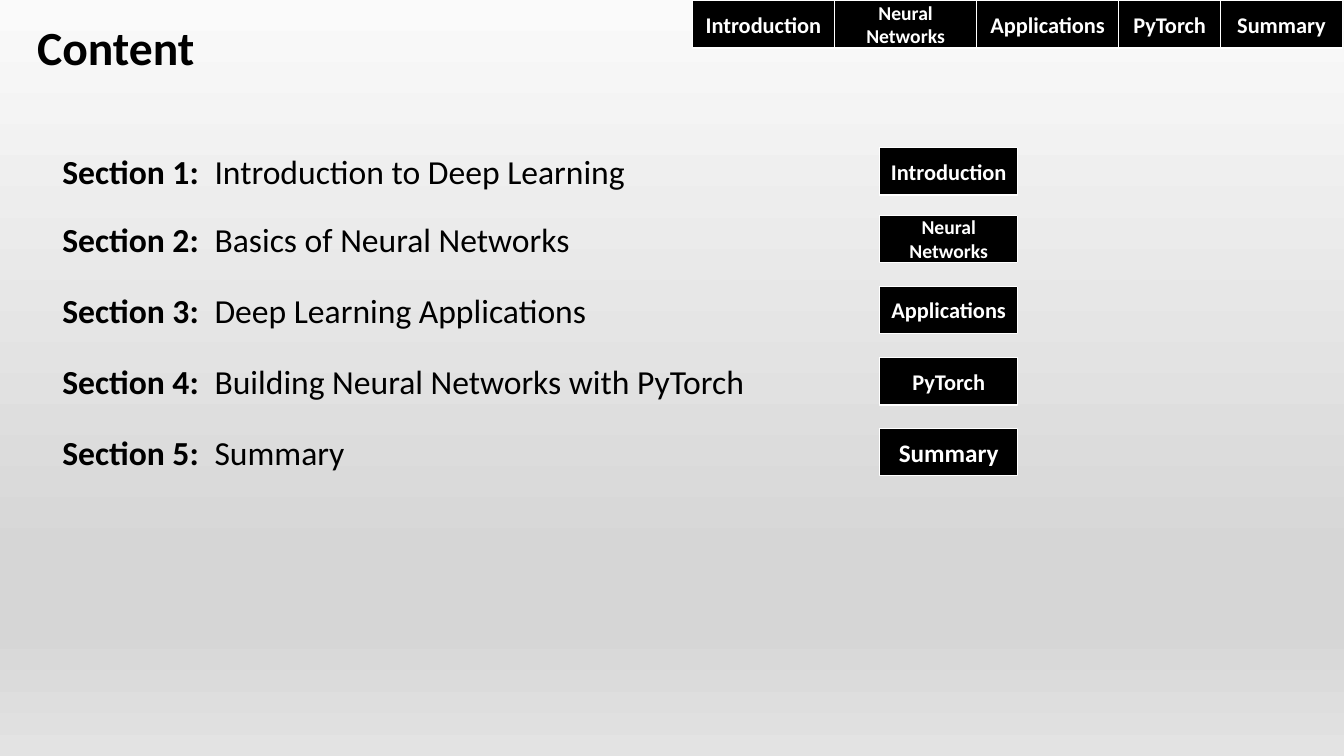
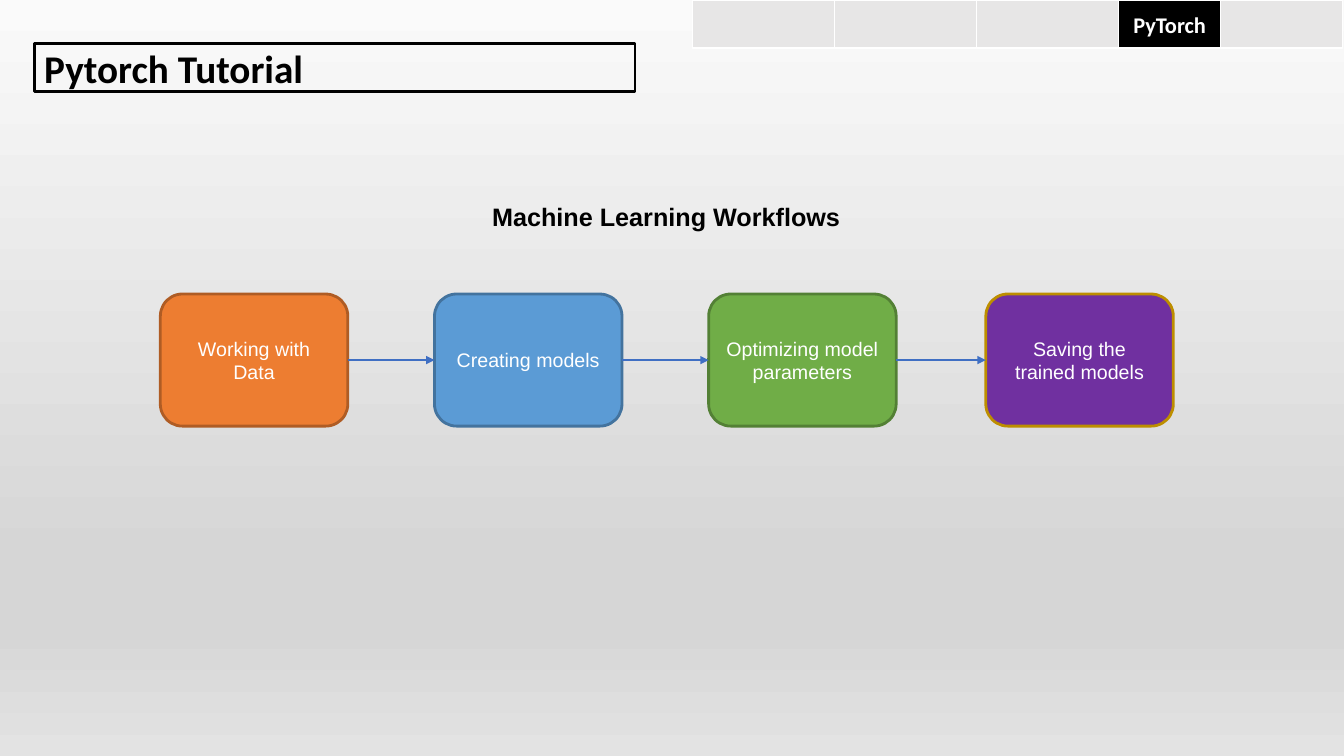
from copy import deepcopy
from itertools import accumulate, pairwise
from lxml.etree import SubElement
from pptx import Presentation
from pptx.dml.color import RGBColor
from pptx.enum.shapes import MSO_CONNECTOR, MSO_SHAPE
from pptx.enum.text import MSO_ANCHOR, PP_ALIGN
from pptx.oxml.ns import qn
from pptx.util import Inches, Pt

WIDE, HIGH = Inches(13.33), Inches(7.5)
BLACK, WHITE, GREY, BLUE = "000000", "FFFFFF", "E7E6E6", "3F6FC3"
BAR = 6.27
HEAD = {"name": "Calibri", "bold": True}
BODY = {"name": "Calibri", "bold": False, "size": Pt(24)}
STEP = {"name": "Arial", "bold": False, "size": Pt(14)}
TABS = [
    ("Introduction", 10.55, 16, 16),
    ("Neural Networks", 10.6, 14, 14),
    ("Applications", 10.55, 16, 16),
    ("PyTorch", 7.6, 16, 16),
    ("Summary", 9.05, 16, 18),
]
PARTS = [
    ("Introduction to Deep Learning", 19.53),
    ("Basics of Neural Networks", 28.47),
    ("Deep Learning Applications", 37.87),
    ("Building Neural Networks with PyTorch", 47.33),
    ("Summary", 56.67),
]
STEPS = [
    ("Working with Data", 11.93, "ED7D31", "AF5C24"),
    ("Creating models", 32.33, "5B9BD5", "43739E"),
    ("Optimizing model parameters", 52.73, "70AD47", "538035"),
    ("Saving the trained models", 73.35, "7030A0", "BD8E00"),
]


def rgb(code):
    return RGBColor.from_string(code)


def box(slide, area, runs, ink=BLACK, fill=None, edge=None, form=MSO_SHAPE.RECTANGLE,
        align=PP_ALIGN.LEFT, anchor=MSO_ANCHOR.MIDDLE, tab=None):
    x, y, w, h = area
    place = [int(n * side / 100) for n, side in ((x, WIDE), (y, HIGH), (w, WIDE), (h, HIGH))]
    if edge:
        shape = slide.shapes.add_shape(form, *place)
        shape.shadow.inherit = False
        shape.line.color.rgb = rgb(edge[0])
        shape.line.width = Pt(edge[1])
        if fill:
            shape.fill.solid()
            shape.fill.fore_color.rgb = rgb(fill)
        else:
            shape.fill.background()
    else:
        shape = slide.shapes.add_textbox(*place)
    frame = shape.text_frame
    frame.word_wrap = True
    frame.vertical_anchor = anchor
    para = frame.paragraphs[0]
    para.alignment = align
    if tab:
        stops = SubElement(para._p.get_or_add_pPr(), qn("a:tabLst"))
        SubElement(stops, qn("a:tab"), pos=str(tab), algn="l")
    for text, style in runs:
        run = para.add_run()
        run.text = text
        for key, value in style.items():
            setattr(run.font, key, value)
        run.font.color.rgb = rgb(ink)
    return shape


deck = Presentation()
deck.slide_width, deck.slide_height = WIDE, HIGH

fill = deck.slide_master.background.fill
fill.gradient()
fill.gradient_angle = 270
stops = deck.slide_master.element.find(".//" + qn("a:gsLst"))
for _ in range(2):
    stops.append(deepcopy(stops[0]))
shades = [(0, "FAFAFA"), (0.74, "D6D6D6"), (0.83, "D6D6D6"), (1, "E3E3E3")]
for stop, (spot, code) in zip(fill.gradient_stops, shades):
    stop.position = spot
    stop.color.rgb = rgb(code)

pages = [deck.slides.add_slide(deck.slide_layouts[6]) for _ in range(2)]
first, second = pages
tag = {"ink": WHITE, "edge": (WHITE, 1), "align": PP_ALIGN.CENTER}
lefts = list(accumulate((wide for _, wide, _, _ in TABS), initial=51.53))
for page, live in zip(pages, (None, "PyTorch")):
    for left, (name, wide, size, _) in zip(lefts, TABS):
        lit = live in (None, name)
        runs = [(name, HEAD | {"size": Pt(size)})] if lit else []
        box(page, (left, 0.07, wide, BAR), runs, fill=BLACK if lit else GREY, **tag)

box(first, (2.03, 3.07, 94.35, BAR), [("Content", HEAD | {"size": Pt(34)})])
for row, ((part, top), (name, _, _, size)) in enumerate(zip(PARTS, TABS), 1):
    runs = [(f"Section {row}:", HEAD | {"size": Pt(24)}), ("\t" + part, BODY)]
    box(first, (3.9, top, 94.35, BAR), runs, tab=Inches(1.51))
    box(first, (65.45, top, 10.28, BAR), [(name, HEAD | {"size": Pt(size)})], fill=BLACK, **tag)

box(second, (2.55, 5.8, 44.7, BAR), [("Pytorch Tutorial", HEAD | {"size": Pt(28)})],
    edge=(BLACK, 2))
box(second, (35.88, 25.93, 30.15, 11.73),
    [("Machine Learning Workflows", STEP | {"bold": True, "size": Pt(18)})],
    anchor=MSO_ANCHOR.TOP)
cards = [
    box(second, (left, 38.9, 13.95, 17.47), [(text, STEP)], WHITE, tone,
        (rim, 2), MSO_SHAPE.ROUNDED_RECTANGLE, PP_ALIGN.CENTER)
    for text, left, tone, rim in STEPS
]
for start, end in pairwise(cards):
    link = second.shapes.add_connector(MSO_CONNECTOR.STRAIGHT, 0, 0, 0, 0)
    link.begin_connect(start, 3)
    link.end_connect(end, 1)
    link.line.color.rgb = rgb(BLUE)
    link.line.width = Pt(1.5)
    SubElement(link.line._get_or_add_ln(), qn("a:tailEnd"), type="triangle")
    SubElement(link._element.spPr, qn("a:effectLst"))

deck.save("out.pptx")
